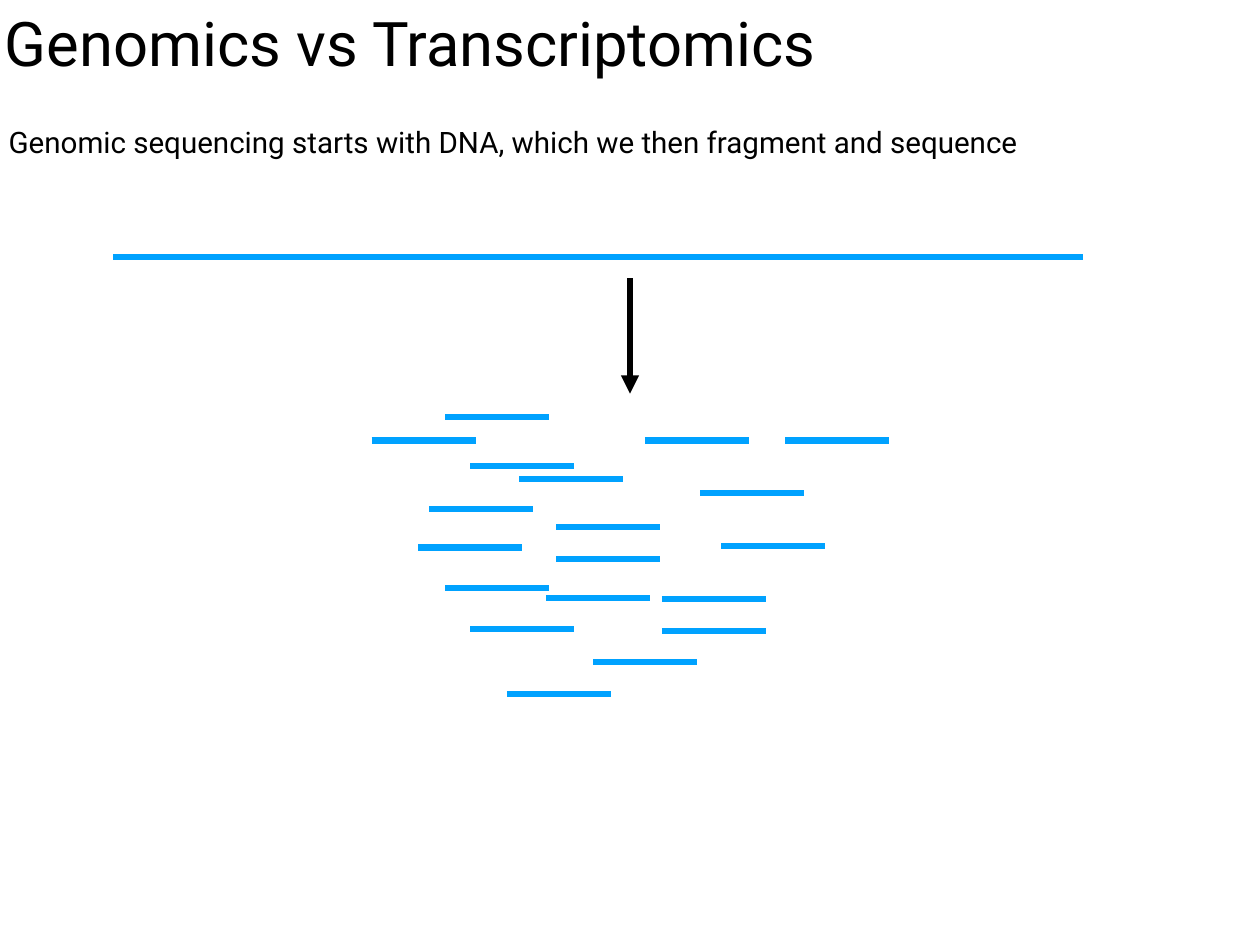
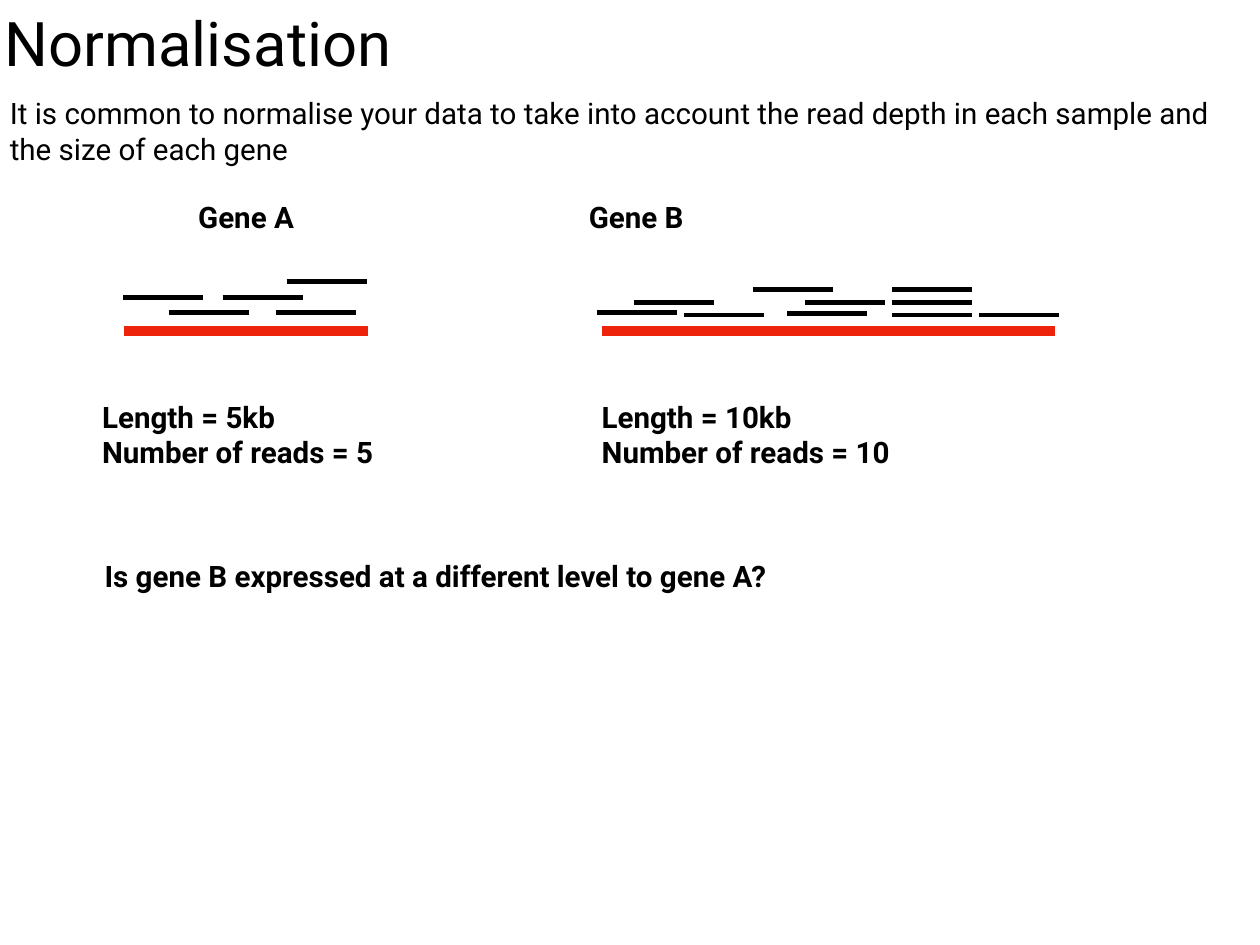
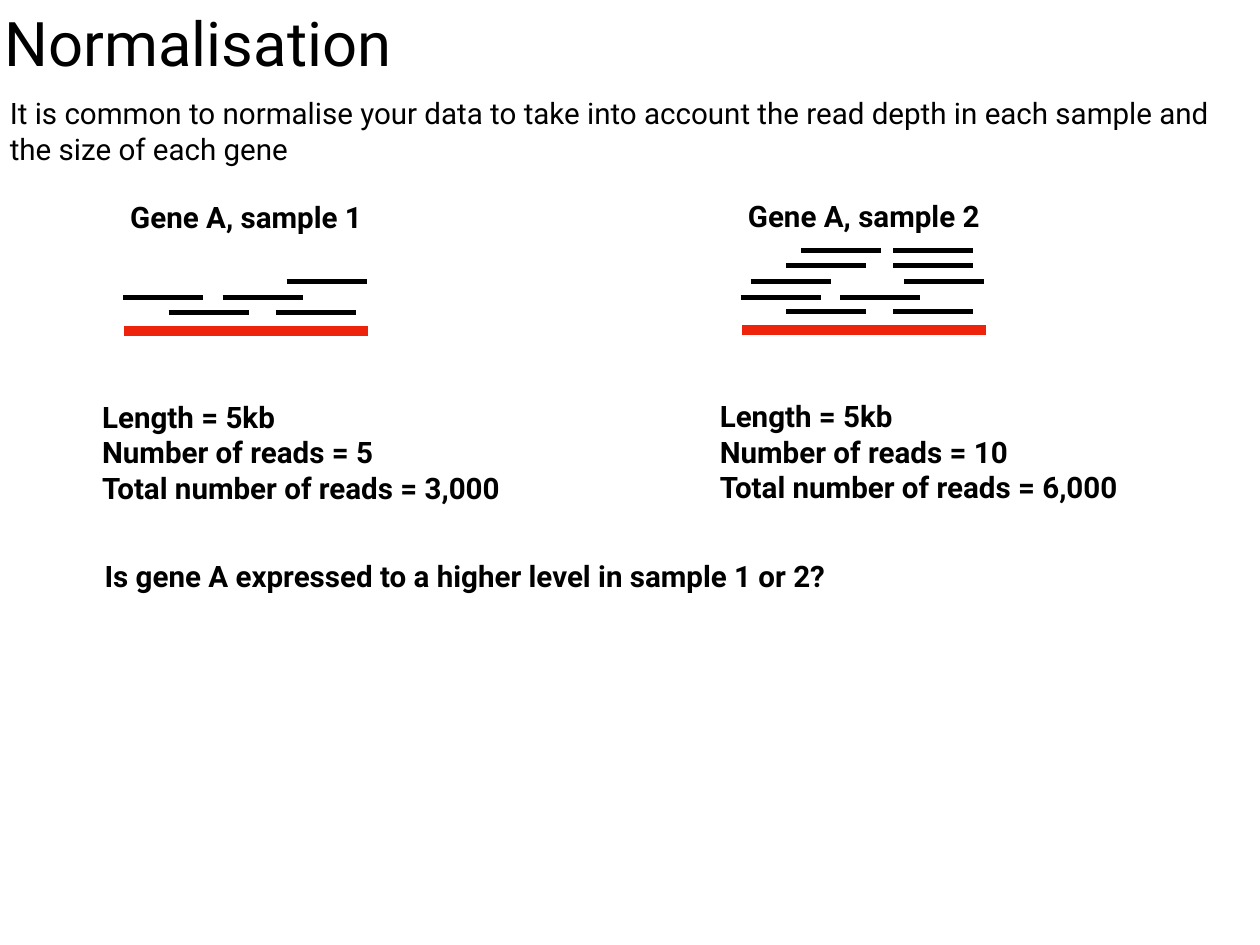
import dataclasses

import lxml.etree
import pptx
import pptx.dml.color
import pptx.enum.shapes
import pptx.enum.text
import pptx.oxml.ns
import pptx.util

ALIGN = pptx.enum.text.PP_ALIGN
ANCHOR = pptx.enum.text.MSO_ANCHOR

# Every length is counted in cells of a 1024 by 768 grid over the slide
COLUMNS, ROWS = 1024, 768
CELL = pptx.util.Pt(1)


@dataclasses.dataclass(frozen=True)
class Theme:
    font: str = "Roboto"
    ink: str = "000000"
    dna: str = "00A2FF"
    gene: str = "EE230C"
    title_size: int = 50
    body_size: int = 24
    dna_weight: int = 5
    gene_weight: int = 8
    read_weight: int = 4
    inset: int = 4


THEME = Theme()


@dataclasses.dataclass(frozen=True)
class Gene:
    """A gene whose reads are (shift from its left end, height above it)."""
    heading: str
    facts: tuple
    length: int
    reads: tuple
    heading_centre: int = 99
    facts_shift: int = -22


FRAGMENT_LENGTH = 84.5
FRAGMENTS = (
    (60, 0), (0, 19), (222, 19), (336, 19), (80, 40), (120, 50), (267, 62),
    (47, 75), (150, 89), (284, 105), (38, 106), (150, 115), (60, 139),
    (142, 147), (236, 148), (80, 172), (236, 174), (180, 199), (110, 225),
)

READ_LENGTH = 65
READS_A = ((-1, 27), (36, 15), (80, 27), (123, 15), (132, 40))
EXTRA_READS_A = ((7, 40), (36, 53), (123, 53), (123, 65), (48, 65))
READS_B = ((-4, 15), (26, 23), (67, 13), (151, 14), (236, 13),
           (165, 23), (307, 13), (123, 34), (236, 23), (236, 34))
LENGTH_A, LENGTH_B = 198, 368

GENE_A = Gene("Gene A", ("Length = 5kb", "Number of reads = 5"),
              LENGTH_A, READS_A)
GENE_B = Gene("Gene B", ("Length = 10kb", "Number of reads = 10"),
              LENGTH_B, READS_B, heading_centre=28, facts_shift=-4)
SAMPLE_1 = Gene("Gene A, sample 1",
                GENE_A.facts + ("Total number of reads = 3,000",),
                LENGTH_A, READS_A)
SAMPLE_2 = Gene("Gene A, sample 2",
                ("Length = 5kb", "Number of reads = 10",
                 "Total number of reads = 6,000"),
                LENGTH_A, READS_A + EXTRA_READS_A)

NORMALISE_INTRO = ("It is common to normalise your data to take into account "
                   "the read depth in each sample and the size of each gene")


def cells(*counts):
    return [round(count * CELL) for count in counts]


# Basic parts
def add_text(slide, box, text, size=THEME.body_size, bold=False,
             align=ALIGN.LEFT, anchor=ANCHOR.TOP):
    frame = slide.shapes.add_textbox(*cells(*box)).text_frame
    frame.word_wrap = True
    frame.vertical_anchor = anchor
    frame.margin_left = frame.margin_right = THEME.inset * CELL
    frame.margin_top = frame.margin_bottom = THEME.inset * CELL
    frame.text = text
    for paragraph in frame.paragraphs:
        paragraph.alignment = align
        for run in paragraph.runs:
            run.font.name = THEME.font
            run.font.size = pptx.util.Pt(size)
            run.font.bold = bold
            run.font.color.rgb = pptx.dml.color.RGBColor.from_string(THEME.ink)


def add_line(slide, start, end, color, weight, arrow=False):
    line = slide.shapes.add_connector(
        pptx.enum.shapes.MSO_CONNECTOR.STRAIGHT, *cells(*start, *end))
    line.line.color.rgb = pptx.dml.color.RGBColor.from_string(color)
    line.line.width = pptx.util.Pt(weight)
    qualified = pptx.oxml.ns.qn
    properties = line._element.spPr
    if arrow:
        lxml.etree.SubElement(properties.find(qualified("a:ln")),
                              qualified("a:tailEnd"), type="triangle")
    lxml.etree.SubElement(properties, qualified("a:effectLst"))


def add_bar(slide, left, top, length, color, weight):
    add_line(slide, (left, top), (left + length, top), color, weight)


# Regions
def add_titled_slide(presentation, title, intro, intro_box):
    slide = presentation.slides.add_slide(presentation.slide_layouts[6])
    add_text(slide, (0, 0, 700, 81), title, THEME.title_size)
    add_text(slide, intro_box, intro)
    return slide


def add_fragment_pool(slide, left, top):
    for shift, drop in FRAGMENTS:
        add_bar(slide, left + shift, top + drop, FRAGMENT_LENGTH,
                THEME.dna, THEME.dna_weight)


def add_gene_panel(slide, left, top, gene):
    heading_width, heading_height = 209, 36
    gene_top = top + 111
    add_text(slide, (left + gene.heading_centre - heading_width / 2, top,
                     heading_width, heading_height),
             gene.heading, bold=True, align=ALIGN.CENTER, anchor=ANCHOR.MIDDLE)
    add_bar(slide, left, gene_top, gene.length, THEME.gene, THEME.gene_weight)
    for shift, height in gene.reads:
        add_bar(slide, left + shift, gene_top - height, READ_LENGTH,
                THEME.ink, THEME.read_weight)
    add_text(slide, (left + gene.facts_shift, top + 162, 346,
                     30 * len(gene.facts) + 6),
             "\n".join(gene.facts), bold=True)


# Types of slide
def build_sequencing_slide(presentation):
    slide = add_titled_slide(
        presentation, "Genomics vs Transcriptomics",
        "Genomic sequencing starts with DNA, which we then fragment "
        "and sequence", (3, 96.5, 863, 94))
    add_bar(slide, 92, 209, 788.5, THEME.dna, THEME.dna_weight)
    add_fragment_pool(slide, 302, 339)
    middle = COLUMNS / 2
    add_line(slide, (middle, 226), (middle, 320), THEME.ink,
             THEME.dna_weight, arrow=True)


def build_normalisation_slide(presentation, panels, question):
    slide = add_titled_slide(presentation, "Normalisation", NORMALISE_INTRO,
                             (4, 73.5, 989, 66))
    for left, top, gene in panels:
        add_gene_panel(slide, left, top, gene)
    add_text(slide, (81, 450, 630, 36), question, bold=True,
             anchor=ANCHOR.MIDDLE)


def main():
    presentation = pptx.Presentation()
    presentation.slide_width, presentation.slide_height = cells(COLUMNS, ROWS)
    build_sequencing_slide(presentation)
    build_normalisation_slide(
        presentation, ((101, 158, GENE_A), (489, 158, GENE_B)),
        "Is gene B expressed at a different level to gene A?")
    build_normalisation_slide(
        presentation, ((101, 158, SAMPLE_1), (603, 157.5, SAMPLE_2)),
        "Is gene A expressed to a higher level in sample 1 or 2?")
    presentation.save("out.pptx")


if __name__ == "__main__":
    main()
